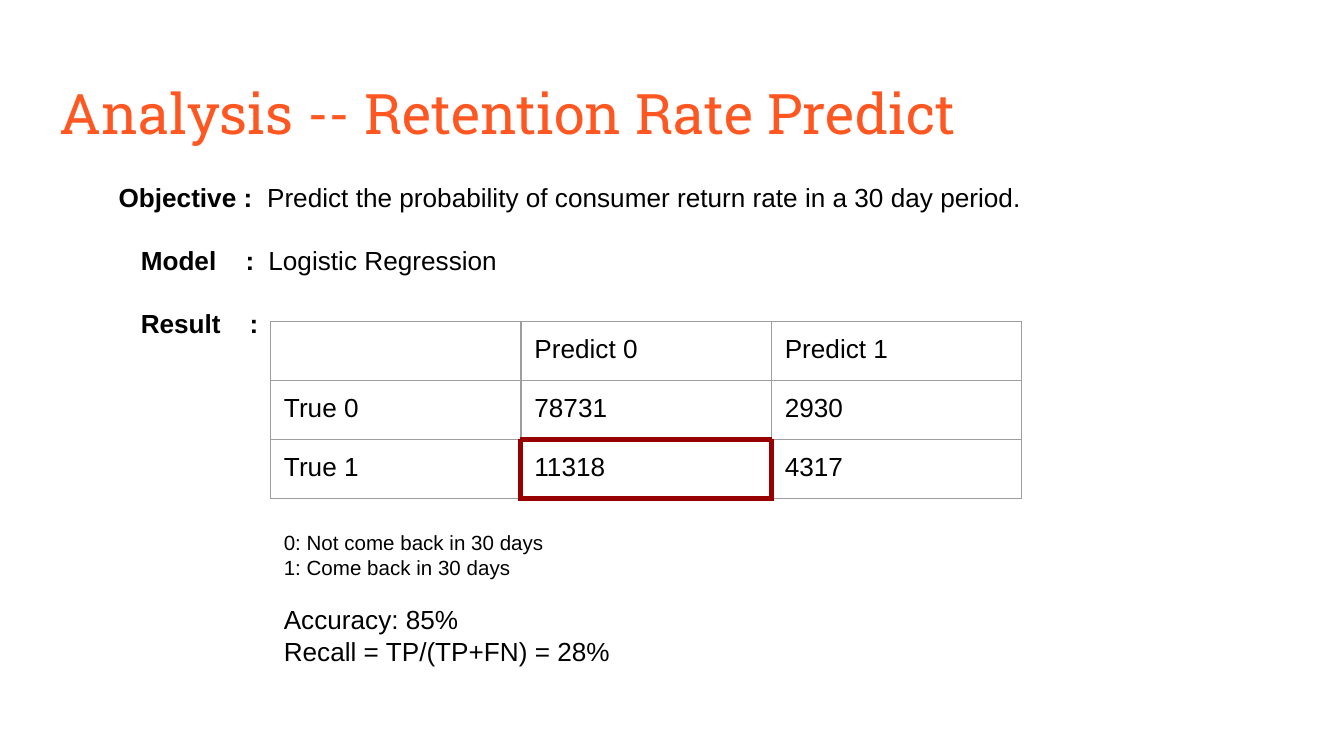
"""Build the retention rate prediction slide with its confusion matrix."""
import pptx
import pptx.dml.color
import pptx.enum.text
import pptx.oxml
import pptx.oxml.ns
import pptx.util

ORANGE = pptx.dml.color.RGBColor(0xFF, 0x57, 0x22)
BLACK = pptx.dml.color.RGBColor(0x00, 0x00, 0x00)
GREY = pptx.dml.color.RGBColor(0x9E, 0x9E, 0x9E)
RED = pptx.dml.color.RGBColor(0x98, 0x00, 0x00)

deck = pptx.Presentation()
deck.slide_width = pptx.util.Inches(10)
deck.slide_height = deck.slide_width * 9 // 16
page = deck.slides.add_slide(deck.slide_layouts[6])
column = deck.slide_width / 100
row = deck.slide_height / 56.25


def write(para, text, size=14, color=BLACK, font="Arial", bold=False):
    span = para.add_run()
    span.text = text
    span.font.size = pptx.util.Pt(size)
    span.font.color.rgb = color
    span.font.name = font
    span.font.bold = bold


def add_box(left, top, width, height):
    box = page.shapes.add_textbox(
        int(left * column), int(top * row), int(width * column), int(height * row))
    frame = box.text_frame
    frame.word_wrap = True
    frame.vertical_anchor = pptx.enum.text.MSO_ANCHOR.TOP
    frame.margin_left = frame.margin_right = int(column)
    frame.margin_top = frame.margin_bottom = int(row)
    return frame


title = add_box(3.45, 4.85, 93.2, 6.3)
write(title.paragraphs[0], "Analysis -- Retention Rate Predict",
      size=30, color=ORANGE, font="Roboto Slab")

summary = add_box(7.84, 12.5, 77.2, 41.1)
entries = [
    ("Objective :", "\tPredict the probability of consumer return rate in a 30 day period.", [11.05]),
    ("\tModel\t:", "\tLogistic Regression", [1.65, 9.45, 11.15]),
    ("\tResult\t:", "", [1.65, 9.75]),
]
for index, (label, value, stops) in enumerate(entries):
    para = summary.paragraphs[0] if index == 0 else summary.add_paragraph()
    para.space_after = pptx.util.Pt(17)
    tabs = pptx.oxml.parse_xml(f'<a:tabLst {pptx.oxml.ns.nsdecls("a")}/>')
    for stop in stops:
        tabs.append(pptx.oxml.parse_xml(
            f'<a:tab {pptx.oxml.ns.nsdecls("a")} pos="{int(stop * column)}" algn="l"/>'))
    para._p.get_or_add_pPr().append(tabs)
    write(para, label, bold=True)
    if value:
        write(para, value)

matrix = [
    ["", "Predict 0", "Predict 1"],
    ["True 0", "78731", "2930"],
    ["True 1", "11318", "4317"],
]
red_sides = {(1, 1): "B", (2, 0): "R", (2, 1): "LRTB", (2, 2): "L"}
table = page.shapes.add_table(
    3, 3, int(20.13 * column), int(23.9 * row), int(55.9 * column), int(13.2 * row)).table
table.first_row = False
table.horz_banding = False
for r, values in enumerate(matrix):
    for c, value in enumerate(values):
        cell = table.cell(r, c)
        cell.margin_left = cell.margin_right = int(column)
        cell.margin_top = cell.margin_bottom = int(row)
        cell.fill.background()
        para = cell.text_frame.paragraphs[0]
        if value:
            write(para, value)
        else:
            para._p.get_or_add_endParaRPr().set("sz", "1400")
        properties = cell._tc.get_or_add_tcPr()
        for position, side in enumerate("LRTB"):
            is_red = side in red_sides.get((r, c), "")
            color, weight = (RED, 3) if is_red else (GREY, 0.75)
            properties.insert(position, pptx.oxml.parse_xml(
                f'<a:ln{side} {pptx.oxml.ns.nsdecls("a")} w="{pptx.util.Pt(weight)}">'
                f'<a:solidFill><a:srgbClr val="{color}"/></a:solidFill></a:ln{side}>'))

notes = add_box(20.13, 38.45, 44.5, 3.3)
lines = [
    ("0: Not come back in 30 days", 11, 0),
    ("1: Come back in 30 days", 11, 0),
    ("Accuracy: 85%", 14, 13),
    ("Recall = TP/(TP+FN) = 28%", 14, 0),
]
for index, (text, size, gap) in enumerate(lines):
    para = notes.paragraphs[0] if index == 0 else notes.add_paragraph()
    para.space_before = pptx.util.Pt(gap)
    write(para, text, size=size)

deck.save("out.pptx")
